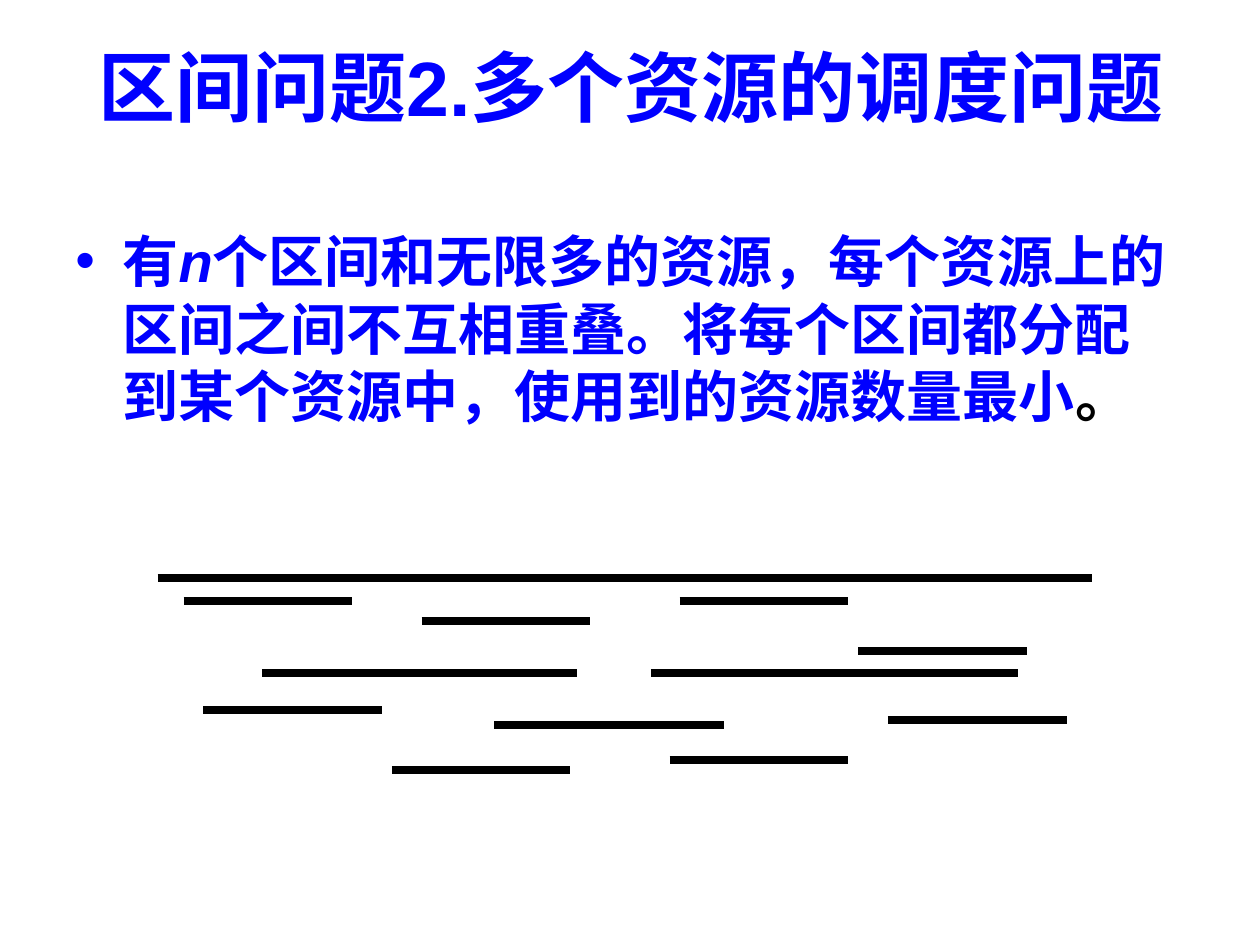
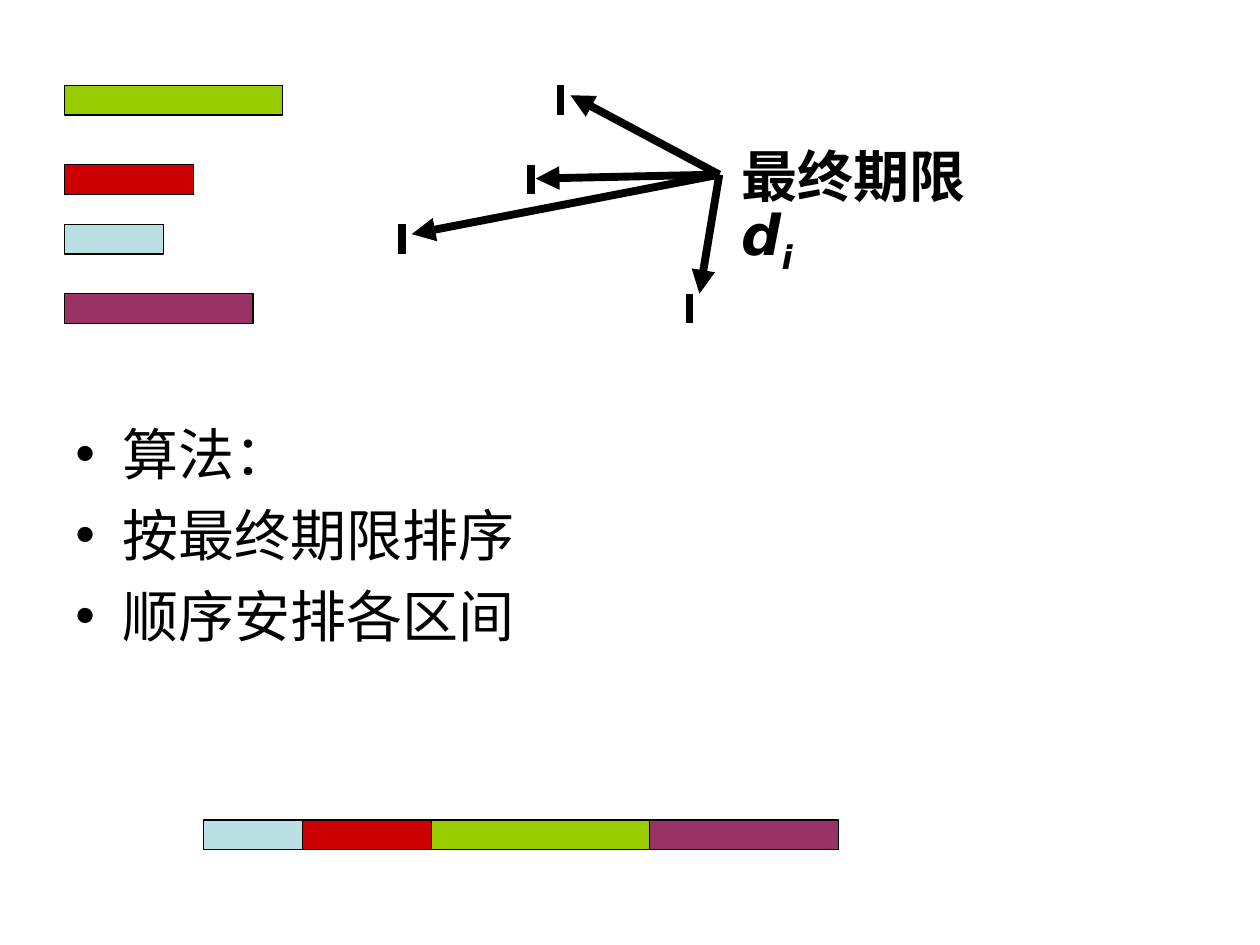
from lxml import etree
from pptx import Presentation
from pptx import util as u
from pptx.dml.color import RGBColor
from pptx.enum import shapes, text
from pptx.oxml import ns

COLORS = {"blue": "0000FF", "black": "000000", "sky": "BBE0E3",
          "red": "CC0000", "green": "99CC00", "plum": "993366"}
BODY = {"size": u.Pt(32), "name": "Arial", "bold": False, "italic": False}
BOLD = {**BODY, "bold": True}
TITLE = {**BOLD, "size": u.Pt(44)}
LABEL = {**BOLD, "name": "Noto Sans CJK SC"}
SYMBOL = {**BOLD, "name": "DejaVu Sans", "italic": True}

INTERVALS = [
    (13.5, 17.1, 15.32), (17.9, 21.5, 14.52), (7.9, 11.5, 15.52),
    (4.1, 7.7, 14.32), (9.96, 14.6, 14.62), (5.29, 11.64, 13.56),
    (13.12, 20.53, 13.56), (3.18, 22.01, 11.66), (3.7, 7.1, 12.11),
    (8.5, 11.9, 12.52), (13.7, 17.1, 12.11), (17.3, 20.7, 13.12)]

# colour, length, top, deadline, arrow tip
JOBS = [
    ("sky", 2, 4.52, 8.1, (8.3, 4.72)),
    ("red", 2.6, 3.32, 10.7, (10.8, 3.6)),
    ("green", 4.4, 1.72, 11.3, (11.5, 1.92)),
    ("plum", 3.8, 5.92, 13.9, (14.1, 5.92))]
BAR_HEIGHT = 0.6
HUB = (14.5, 3.52)


def rgb(name):
    """Return the named colour."""
    return RGBColor.from_string(COLORS[name])


def sub(parent, tag, **attrs):
    """Append a DrawingML element to the parent."""
    return etree.SubElement(parent, ns.qn(tag), attrs)


def add_run(p, content, fmt, color, baseline=None):
    """Add a run of formatted text."""
    r = p.add_run()
    r.text = content
    for key, value in fmt.items():
        setattr(r.font, key, value)
    r.font.color.rgb = rgb(color)
    sub(r.font._element, "a:ea", typeface=fmt["name"])
    if baseline:
        r.font._element.set("baseline", str(baseline))


def add_bullet(p, color):
    """Give a paragraph a hanging round bullet."""
    pPr = p._p.get_or_add_pPr()
    pPr.set("marL", str(u.Cm(0.95)))
    pPr.set("indent", str(u.Cm(-0.95)))
    sub(sub(pPr, "a:buClr"), "a:srgbClr", val=COLORS[color])
    sub(pPr, "a:buFont", typeface="Arial")
    sub(pPr, "a:buChar", char="•")


def add_text(s, box, paragraphs, bullet=None, **fmt):
    """Add a wrapped text box from lists of run arguments."""
    tf = s.shapes.add_textbox(*map(u.Cm, box)).text_frame
    tf.word_wrap = True
    para_fmt = {"line_spacing": u.Pt(38.4), **fmt.pop("para", {})}
    for key, value in fmt.items():
        setattr(tf, key, value)
    for i, runs in enumerate(paragraphs):
        p = tf.add_paragraph() if i else tf.paragraphs[0]
        if bullet:
            add_bullet(p, bullet)
        for key, value in para_fmt.items():
            setattr(p, key, value)
        if i:
            p.space_before = u.Pt(8)
        for run in runs:
            add_run(p, *run)


def add_line(s, start, end, arrow=False):
    """Add a thick black line, with an arrowhead at its end if asked."""
    sp = s.shapes.add_connector(shapes.MSO_CONNECTOR.STRAIGHT,
                                *map(u.Cm, (*start, *end)))
    sp.line.color.rgb = rgb("black")
    sp.line.width = u.Pt(4.5)
    if arrow:
        sub(sp.line._get_or_add_ln(), "a:tailEnd", type="triangle")
    sub(sp._element.spPr, "a:effectLst")


def add_bar(s, left, top, length, color):
    """Add the bar of one job."""
    sp = s.shapes.add_shape(shapes.MSO_SHAPE.RECTANGLE,
                            *map(u.Cm, (left, top, length, BAR_HEIGHT)))
    sp.shadow.inherit = False
    sp.fill.solid()
    sp.fill.fore_color.rgb = rgb(color)
    sp.line.color.rgb = rgb("black")
    sp.line.width = u.Pt(0.75)


def build_resources(s):
    """Build the slide on scheduling many resources."""
    add_text(s, (1.3, 0.13, 22.86, 3.18),
             [[("区间问题2.多个资源的调度问题", TITLE, "blue")]],
             vertical_anchor=text.MSO_ANCHOR.MIDDLE,
             para={"alignment": text.PP_ALIGN.CENTER, "line_spacing": None})
    add_text(s, (1.27, 4.45, 22.86, 12.57), [[
        ("有", BOLD, "blue"),
        ("n", {**BOLD, "italic": True}, "blue"),
        ("个区间和无限多的资源，每个资源上的区间之间不互相重叠。"
         "将每个区间都分配到某个资源中，使用到的资源数量最小", BOLD, "blue"),
        ("。", BOLD, "black")]], bullet="blue")
    for left, right, y in INTERVALS:
        add_line(s, (left, y), (right, y))


def build_deadlines(s):
    """Build the slide on scheduling by deadline."""
    steps = ["算法：", "按最终期限排序", "顺序安排各区间"]
    add_text(s, (1.27, 8.33, 22.86, 6.71),
             [[(step, BODY, "black")] for step in steps], bullet="black")
    scheduled = 4.1
    for color, length, top, deadline, tip in sorted(JOBS, key=lambda job: job[3]):
        add_bar(s, 1.3, top, length, color)
        add_line(s, (deadline, top), (deadline, top + BAR_HEIGHT))
        add_line(s, HUB, tip, arrow=True)
        add_bar(s, scheduled, 16.53, length, color)
        scheduled += length
    add_text(s, (14.7, 2.72, 6.2, 1.8), [[
        ("最终期限", LABEL, "black"), ("d", SYMBOL, "black"),
        ("i", SYMBOL, "black", -25000)]], margin_right=u.Cm(0.7))


def main():
    """Build and save the presentation."""
    prs = Presentation()
    prs.slide_width, prs.slide_height = u.Cm(25.4), u.Cm(19.05)
    for build in (build_resources, build_deadlines):
        build(prs.slides.add_slide(prs.slide_layouts[6]))
    prs.save("out.pptx")


if __name__ == "__main__":
    main()
